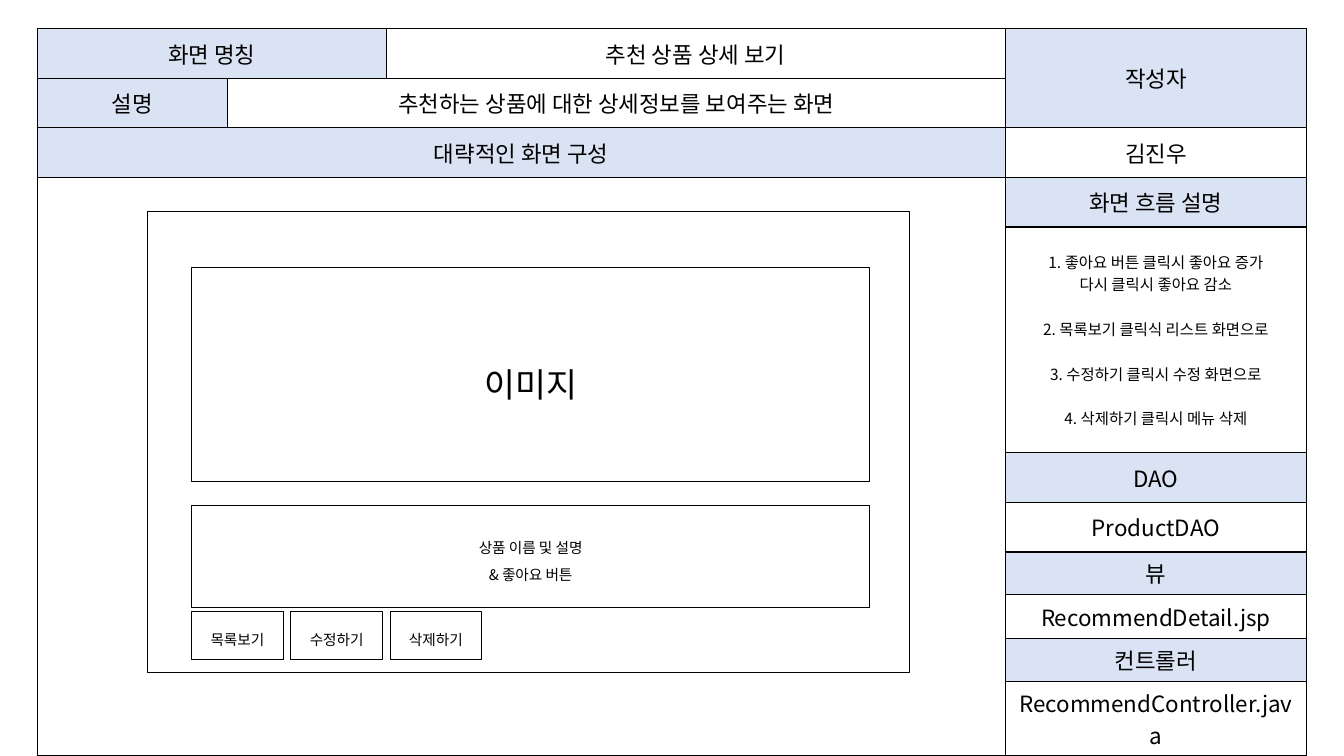
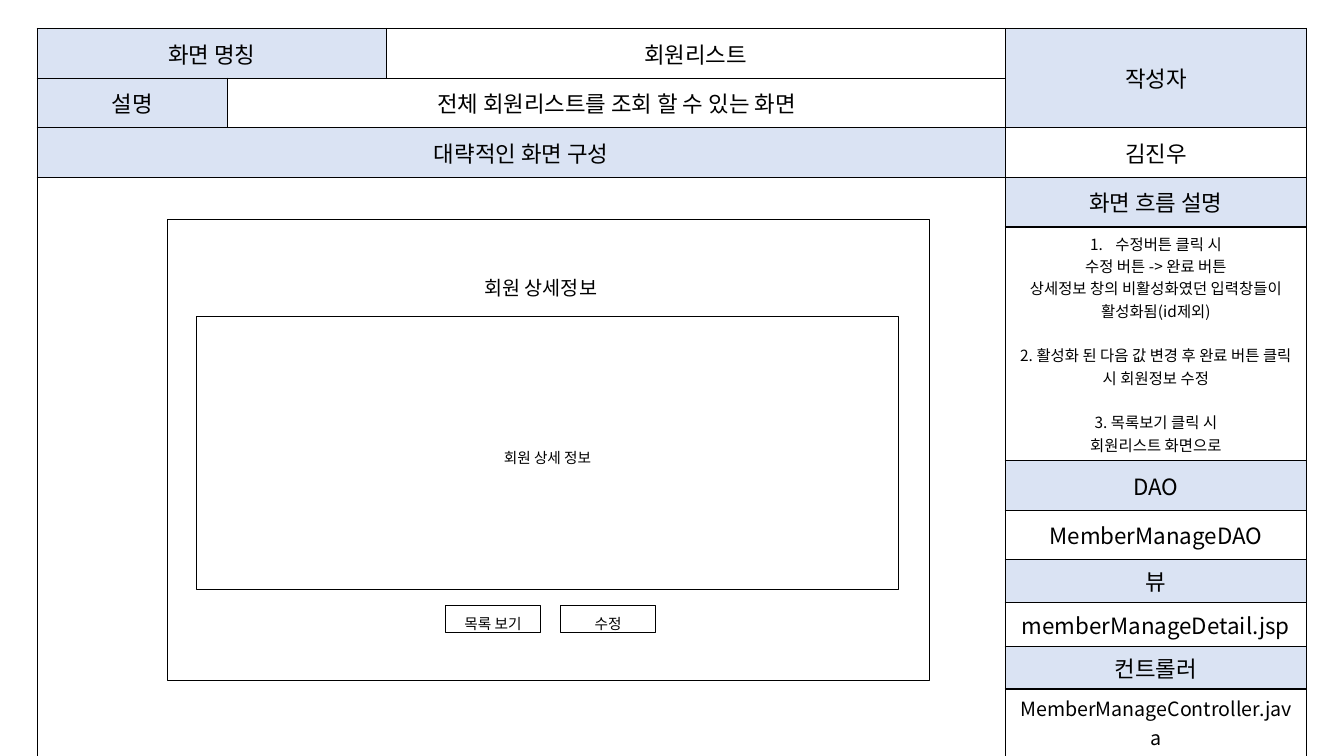
from dataclasses import dataclass

from lxml import etree
from pptx import Presentation
from pptx.dml.color import RGBColor
from pptx.enum.shapes import MSO_SHAPE
from pptx.enum.text import MSO_ANCHOR, PP_ALIGN
from pptx.oxml.ns import qn
from pptx.util import Cm, Pt

RECT = MSO_SHAPE.RECTANGLE
MIDDLE = MSO_ANCHOR.MIDDLE
CENTER = PP_ALIGN.CENTER

FONT = "Noto Sans CJK KR"
BLACK, WHITE, HEADER = "000000", "FFFFFF", "DAE3F3"
BORDERS = ("a:lnL", "a:lnR", "a:lnT", "a:lnB")
COLS = (4.8, 3.99, 15.6, 7.6)
ROWS = (1.25, 1.25, 1.25, 1.25, 5.69, 1.25, 1.25, 0.97, 1.12, 0.97, 0.97)
MERGES = (
    ((0, 0), (0, 1)),
    ((0, 3), (1, 3)),
    ((1, 1), (1, 2)),
    ((2, 0), (2, 2)),
    ((3, 0), (10, 2)),
)
LABELS = {
    (0, 0): "화면 명칭",
    (0, 3): "작성자",
    (1, 0): "설명",
    (2, 0): "대략적인 화면 구성",
    (3, 3): "화면 흐름 설명",
    (5, 3): "DAO",
    (7, 3): "뷰",
    (9, 3): "컨트롤러",
}
AUTHOR = "김진우"
BOX_FORMAT = {
    "word_wrap": True,
    "vertical_anchor": MIDDLE,
    "margin_left": Cm(0.1),
    "margin_right": Cm(0.1),
    "margin_top": Cm(0.13),
    "margin_bottom": Cm(0.13),
}


@dataclass(frozen=True)
class Line:
    text: str
    gap: float = 0
    numbered: bool = False


@dataclass(frozen=True)
class Box:
    x: float
    y: float
    w: float
    h: float
    lines: tuple[str, ...] = ()
    size: float = 10.5
    line: str = BLACK


@dataclass(frozen=True)
class Screen:
    name: str
    summary: str
    flow: tuple[Line, ...]
    dao: str
    view: str
    controller: str
    boxes: tuple[Box, ...]
    controller_size: float = 16


def button_row(x: float, y: float, w: float, h: float, step: float,
               labels: tuple[str, ...]) -> tuple[Box, ...]:
    return tuple(Box(x + i * step, y, w, h, (label,)) for i, label in enumerate(labels))


SCREENS = (
    Screen(
        name="추천 상품 상세 보기",
        summary="추천하는 상품에 대한 상세정보를 보여주는 화면",
        flow=(
            Line("1. 좋아요 버튼 클릭시 좋아요 증가"),
            Line("다시 클릭시 좋아요 감소"),
            Line("2. 목록보기 클릭식 리스트 화면으로", 16),
            Line("3. 수정하기 클릭시 수정 화면으로", 16),
            Line("4. 삭제하기 클릭시 메뉴 삭제", 16),
        ),
        dao="ProductDAO",
        view="RecommendDetail.jsp",
        controller="RecommendController.java",
        boxes=(
            Box(3.73, 5.33, 19.2, 11.61),
            Box(4.83, 6.73, 17.09, 5.41, ("이미지",), 24),
            Box(4.83, 12.73, 17.09, 2.59, ("상품 이름 및 설명", "& 좋아요 버튼")),
            *button_row(4.83, 15.42, 2.31, 1.19, 2.5, ("목록보기", "수정하기", "삭제하기")),
        ),
    ),
    Screen(
        name="회원리스트",
        summary="전체 회원리스트를 조회 할 수 있는 화면",
        flow=(
            Line("수정버튼 클릭 시", numbered=True),
            Line("수정 버튼 -> 완료 버튼"),
            Line("상세정보 창의 비활성화였던 입력창들이 활성화됨(id제외)"),
            Line("2. 활성화 된 다음 값 변경 후 완료 버튼 클릭 시 회원정보 수정", 16),
            Line("3. 목록보기 클릭 시", 16),
            Line("회원리스트 화면으로"),
        ),
        dao="MemberManageDAO",
        view="memberManageDetail.jsp",
        controller="MemberManageController.java",
        controller_size=14,
        boxes=(
            Box(4.22, 5.54, 19.2, 11.61),
            Box(4.95, 7.98, 17.7, 6.88, ("회원 상세 정보",)),
            Box(11.33, 6.78, 4.6, 0.66, ("회원 상세정보",), 14, WHITE),
            *button_row(11.23, 15.27, 2.39, 0.66, 2.9, ("목록 보기", "수정")),
        ),
    ),
)


def rgb(color: str) -> RGBColor:
    return RGBColor.from_string(color)


def number(p) -> None:
    pPr = p._p.get_or_add_pPr()
    pPr.set("marL", str(Cm(0.64)))
    pPr.set("indent", str(-Cm(0.64)))
    etree.SubElement(pPr, qn("a:buFont"), typeface="+mj-lt")
    etree.SubElement(pPr, qn("a:buAutoNum"), type="arabicPeriod")


def write(tf, lines: tuple[Line, ...], size: float, spacing: float = 1) -> None:
    for i, line in enumerate(lines):
        p = tf.add_paragraph() if i else tf.paragraphs[0]
        layout = {"alignment": CENTER, "line_spacing": spacing, "space_before": Pt(line.gap)}
        for key, value in layout.items():
            setattr(p, key, value)
        if line.numbered:
            number(p)
        r = p.add_run()
        r.text = line.text
        for key, value in {"name": FONT, "size": Pt(size)}.items():
            setattr(r.font, key, value)
        r.font.color.rgb = rgb(BLACK)
        etree.SubElement(r._r.get_or_add_rPr(), qn("a:ea"), typeface=FONT)


def format_cell(cell, color: str) -> None:
    tcPr = cell._tc.get_or_add_tcPr()
    for tag in BORDERS:
        ln = etree.SubElement(tcPr, qn(tag), w=str(Pt(1)))
        fill = etree.SubElement(ln, qn("a:solidFill"))
        etree.SubElement(fill, qn("a:srgbClr"), val=BLACK)
    cell.fill.solid()
    cell.fill.fore_color.rgb = rgb(color)
    cell.vertical_anchor = MIDDLE


def add_sheet(s, screen: Screen) -> None:
    frame = s.shapes.add_table(len(ROWS), len(COLS), Cm(0.94), Cm(0.72),
                               Cm(sum(COLS)), Cm(sum(ROWS)))
    table = frame.table
    table.first_row = table.horz_banding = False
    for col, width in zip(table.columns, COLS):
        col.width = Cm(width)
    for row, height in zip(table.rows, ROWS):
        row.height = Cm(height)
    for i in range(len(ROWS)):
        for j in range(len(COLS)):
            format_cell(table.cell(i, j), HEADER if (i, j) in LABELS else WHITE)
    for first, last in MERGES:
        table.cell(*first).merge(table.cell(*last))
    values = {
        (0, 2): screen.name,
        (1, 1): screen.summary,
        (2, 3): AUTHOR,
        (6, 3): screen.dao,
        (8, 3): screen.view,
    }
    for place, text in {**LABELS, **values}.items():
        write(table.cell(*place).text_frame, (Line(text),), 16)
    write(table.cell(4, 3).text_frame, screen.flow, 11)
    write(table.cell(10, 3).text_frame, (Line(screen.controller),), screen.controller_size)


def add_box(s, box: Box) -> None:
    sp = s.shapes.add_shape(RECT, Cm(box.x), Cm(box.y), Cm(box.w), Cm(box.h))
    sp.shadow.inherit = False
    sp.fill.background()
    sp.line.color.rgb = rgb(box.line)
    sp.line.width = Pt(0.75)
    for key, value in BOX_FORMAT.items():
        setattr(sp.text_frame, key, value)
    write(sp.text_frame, tuple(Line(text) for text in box.lines), box.size, 1.5)


def main() -> None:
    prs = Presentation()
    prs.slide_width, prs.slide_height = Cm(33.87), Cm(19.05)
    for screen in SCREENS:
        s = prs.slides.add_slide(prs.slide_layouts[6])
        add_sheet(s, screen)
        for box in screen.boxes:
            add_box(s, box)
    prs.save("out.pptx")


if __name__ == "__main__":
    main()
